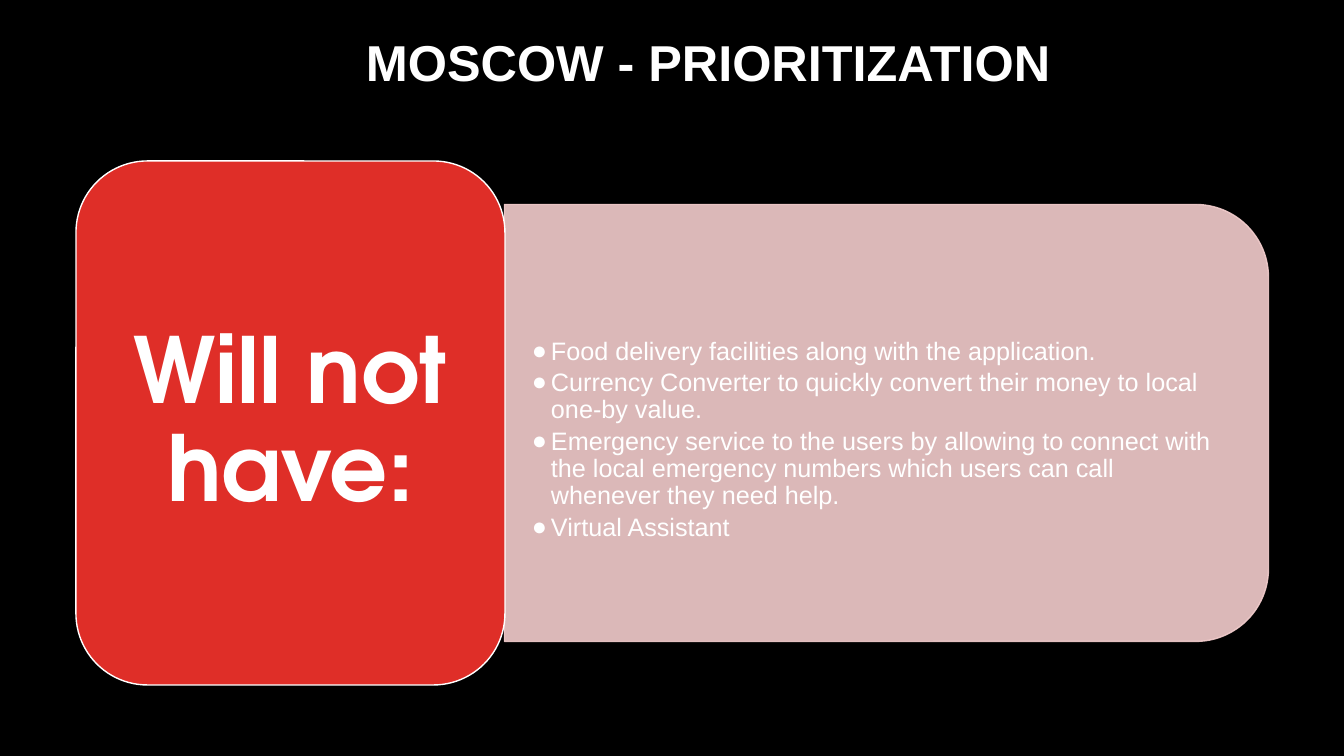
"""Build the MoSCoW "Will not have" slide."""
from dataclasses import dataclass

from lxml import etree
from pptx import Presentation
from pptx.dml.color import RGBColor
from pptx.enum.shapes import MSO_SHAPE
from pptx.enum.text import MSO_ANCHOR, MSO_AUTO_SIZE, PP_ALIGN
from pptx.oxml.ns import qn
from pptx.util import Emu, Pt

ROUND_ALL = MSO_SHAPE.ROUNDED_RECTANGLE
ROUND_TOP = MSO_SHAPE.ROUND_2_SAME_RECTANGLE
CENTER, LEFT = PP_ALIGN.CENTER, PP_ALIGN.LEFT
MIDDLE = MSO_ANCHOR.MIDDLE
NO_FIT = MSO_AUTO_SIZE.NONE

EMU_PER_PX = 914400 / 100.8
COLORS = {"black": "000000", "white": "FFFFFF", "red": "DF2E28", "pink": "F3CDCD"}
ITEMS = [
    "Food delivery facilities along with the application.",
    "Currency Converter to quickly convert their money to local one-by value.",
    "Emergency service to the users by allowing to connect with the local "
    "emergency numbers which users can call whenever they need help.",
    "Virtual Assistant",
]


@dataclass
class Box:
    """Place on the slide, in px."""
    x: int
    y: int
    w: int
    h: int


@dataclass
class Card:
    """A filled and outlined shape."""
    kind: int
    box: Box
    fill: str
    line: str
    rotation: int = 0
    opacity: int = 100


@dataclass
class Style:
    """Look of a run and its paragraph."""
    font: str
    size: int
    bold: bool
    align: int
    after: int = 0


TITLE = Style("Arial", 36, True, CENTER)
LABEL = Style("TeX Gyre Adventor", 65, True, CENTER)
ITEM = Style("Arial", 18, False, LEFT, 3)
PANEL_CARD = Card(ROUND_TOP, Box(668, 41, 437, 764), "pink", "pink", 90, 90)
LABEL_CARD = Card(ROUND_ALL, Box(76, 161, 429, 524), "red", "white")


def px(n: int) -> Emu:
    """Turn px into EMU."""
    return Emu(round(n * EMU_PER_PX))


def rgb(name: str) -> RGBColor:
    """Look up a colour."""
    return RGBColor.from_string(COLORS[name])


def place(sp, box: Box) -> None:
    """Move and size a shape."""
    sp.left, sp.top, sp.width, sp.height = map(px, (box.x, box.y, box.w, box.h))


def add_card(s, card: Card):
    """Draw a card and return its shape."""
    sp = s.shapes.add_shape(card.kind, 0, 0, 0, 0)
    place(sp, card.box)
    sp.rotation = card.rotation
    sp.shadow.inherit = False
    sp.fill.solid()
    sp.fill.fore_color.rgb = rgb(card.fill)
    sp.line.color.rgb = rgb(card.line)
    sp.line.width = Pt(1)
    if card.opacity < 100:
        for color in sp.element.spPr.iter(qn("a:srgbClr")):
            etree.SubElement(color, qn("a:alpha"), val=str(card.opacity * 1000))
    return sp


def write(sp, lines: list[str], style: Style, inset: tuple[int, int], bullet: str = "") -> None:
    """Fill a shape with one styled paragraph per line."""
    tf = sp.text_frame
    tf.word_wrap = True
    tf.auto_size = NO_FIT
    tf.vertical_anchor = MIDDLE
    tf.margin_left = tf.margin_right = px(inset[0])
    tf.margin_top = tf.margin_bottom = px(inset[1])
    for i, line in enumerate(lines):
        p = tf.add_paragraph() if i else tf.paragraphs[0]
        if bullet:
            pPr = p._p.get_or_add_pPr()
            pPr.set("marL", str(px(19)))
            pPr.set("indent", str(-px(19)))
            etree.SubElement(pPr, qn("a:buChar"), char=bullet)
        p.alignment = style.align
        p.line_spacing = 0.9
        p.space_before = Pt(0)
        p.space_after = Pt(style.after)
        r = p.add_run()
        r.text = line
        r.font.name = style.font
        r.font.size = Pt(style.size)
        r.font.bold = style.bold
        r.font.color.rgb = rgb("white")


def main() -> None:
    """Build and save the slide."""
    prs = Presentation()
    prs.slide_width, prs.slide_height = px(1344), px(756)
    s = prs.slides.add_slide(prs.slide_layouts[1])
    s.background.fill.solid()
    s.background.fill.fore_color.rgb = rgb("black")

    title, body = s.shapes.title, s.placeholders[1]
    place(title, Box(333, 39, 751, 53))
    write(title, ["MOSCOW - PRIORITIZATION"], TITLE, (10, 5))

    panel = add_card(s, PANEL_CARD)
    place(body, Box(505, 243, 742, 394))
    write(body, ITEMS, ITEM, (27, 14), "●")
    panel.element.addnext(body.element)

    label = add_card(s, LABEL_CARD)
    write(label, ["Will not have:"], LABEL, (27, 14))
    prs.save("out.pptx")


if __name__ == "__main__":
    main()
